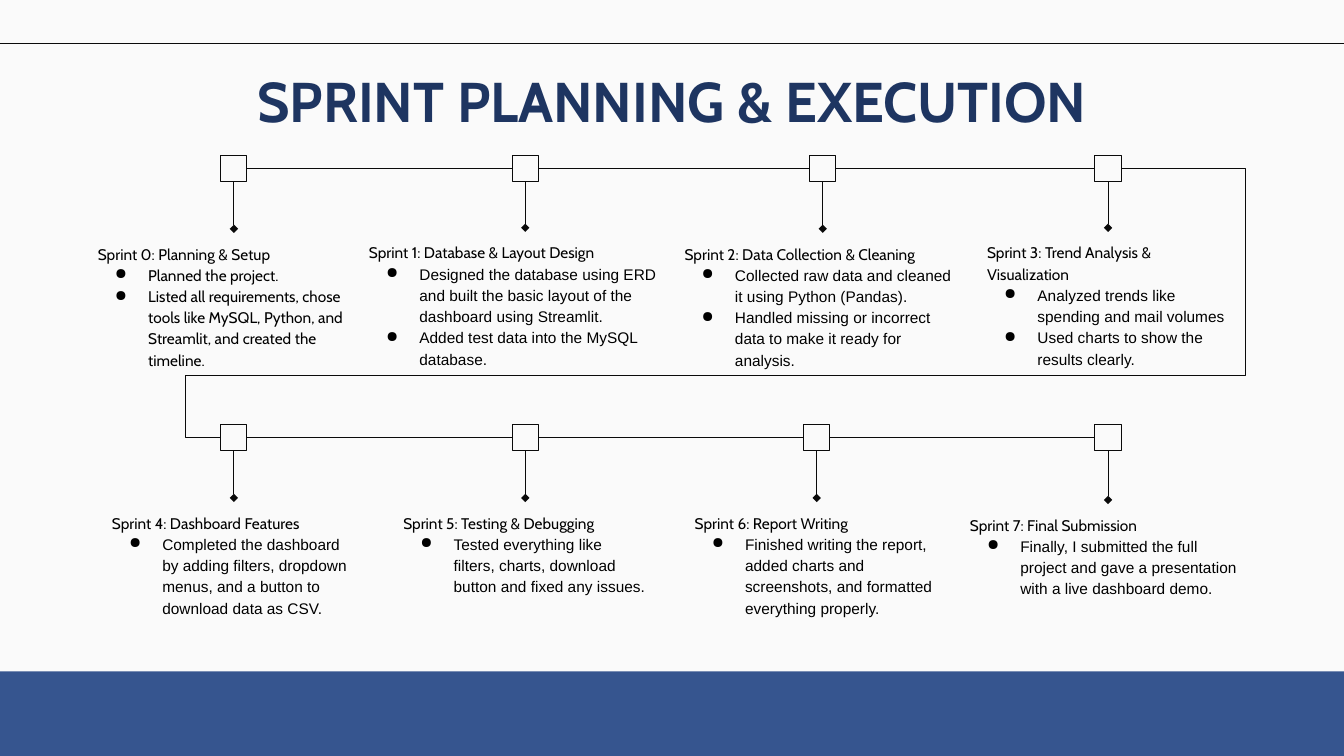
from dataclasses import dataclass
from lxml.etree import SubElement
from pptx import Presentation
from pptx.dml.color import RGBColor
from pptx.enum.shapes import MSO_CONNECTOR, MSO_SHAPE
from pptx.enum.text import MSO_ANCHOR, MSO_AUTO_SIZE, PP_ALIGN
from pptx.oxml.ns import qn
from pptx.util import Inches, Pt


@dataclass(frozen=True)
class Theme:
    paper: RGBColor = RGBColor(0xFA, 0xFA, 0xFA)
    band: RGBColor = RGBColor(0x36, 0x55, 0x8F)
    title: RGBColor = RGBColor(0x1E, 0x35, 0x61)
    line: RGBColor = RGBColor(0x0A, 0x0A, 0x0A)
    text: RGBColor = RGBColor(0, 0, 0)
    heading_font: str = "Cabin"
    body_font: str = "Arial"
    title_size: Pt = Pt(40)
    text_size: Pt = Pt(11)
    line_width: Pt = Pt(0.75)


theme = Theme()
PITCH = 2.89
FIRST_X = 2.32
HALF = 0.13
INSET = Inches(0.13)
ROW_Y = (1.67, 4.34)


def add_line(x1, y1, x2, y2, kind=MSO_CONNECTOR.STRAIGHT):
    c = s.shapes.add_connector(kind, Inches(x1), Inches(y1), Inches(x2), Inches(y2))
    c.line.color.rgb = theme.line
    c.line.width = theme.line_width
    SubElement(c._element.spPr, qn("a:effectLst"))
    return c


def add_run(p, text, font, size, color):
    r = p.add_run()
    r.text = text
    r.font.name = font
    r.font.size = size
    r.font.color.rgb = color
    return r


prs = Presentation()
prs.slide_width, prs.slide_height = Inches(13.33), Inches(7.5)
s = prs.slides.add_slide(prs.slide_layouts[5])
s.background.fill.solid()
s.background.fill.fore_color.rgb = theme.paper

band = s.shapes.add_shape(MSO_SHAPE.RECTANGLE, 0, Inches(6.66), prs.slide_width, Inches(0.84))
band.shadow.inherit = False
band.fill.solid()
band.fill.fore_color.rgb = theme.band
band.line.fill.background()
add_line(0, 0.43, 13.33, 0.43)

title = s.shapes.title
title.left, title.top, title.width, title.height = map(Inches, (1.05, 0.53, 11.23, 0.8))
tf = title.text_frame
tf.margin_left = tf.margin_right = tf.margin_top = tf.margin_bottom = INSET
tf.vertical_anchor = MSO_ANCHOR.TOP
tf.auto_size = MSO_AUTO_SIZE.NONE
tf.word_wrap = True
p = tf.paragraphs[0]
p.alignment = PP_ALIGN.CENTER
r = add_run(p, "SPRINT PLANNING & EXECUTION", theme.heading_font, theme.title_size, theme.title)
r.font.bold = True

sprints = [
    ("Planning & Setup", 0.84, 2.27, 2.95, 1.47, [
        "Planned the project.",
        "Listed all requirements, chose tools like MySQL, Python, and Streamlit, and created the timeline."]),
    ("Database & Layout Design", 3.53, 2.26, 3.33, 1.47, [
        "Designed the database using ERD and built the basic layout of the dashboard using Streamlit.",
        "Added test data into the MySQL database."]),
    ("Data Collection & Cleaning", 6.66, 2.27, 3, 1.34, [
        "Collected raw data and cleaned it using Python (Pandas).",
        "Handled missing or incorrect data to make it ready for analysis."]),
    ("Trend Analysis & Visualization", 9.66, 2.26, 2.67, 1.47, [
        "Analyzed trends like spending and mail volumes",
        "Used charts to show the results clearly."]),
    ("Dashboard Features", 0.98, 4.94, 2.67, 1.26, [
        "Completed the dashboard by adding filters, dropdown menus, and a button to download data as CSV."]),
    ("Testing & Debugging", 3.87, 4.94, 2.67, 1.07, [
        "Tested everything like filters, charts, download button and fixed any issues."]),
    ("Report Writing", 6.76, 4.94, 2.67, 1.47, [
        "Finished writing the report, added charts and screenshots, and formatted everything properly."]),
    ("Final Submission", 9.49, 4.96, 3, 1.07, [
        "Finally, I submitted the full project and gave a presentation with a live dashboard demo."]),
]

previous_x = None
for i, (name, left, top, width, height, bullets) in enumerate(sprints):
    row, col = divmod(i, 4)
    y = ROW_Y[row]
    x = 8.16 if i == 2 else FIRST_X + col * PITCH

    sp = s.shapes.add_shape(MSO_SHAPE.RECTANGLE, Inches(x - HALF), Inches(y - HALF),
                            Inches(2 * HALF), Inches(2 * HALF))
    sp.shadow.inherit = False
    sp.fill.background()
    sp.line.color.rgb = theme.line
    sp.line.width = theme.line_width

    if col:
        add_line(previous_x + HALF, y, x - HALF, y)
    previous_x = x
    stem = add_line(x, y + HALF, x, top)
    SubElement(stem.line._get_or_add_ln(), qn("a:tailEnd"), type="diamond")

    tf = s.shapes.add_textbox(*map(Inches, (left, top, width, height))).text_frame
    tf.word_wrap = True
    tf.margin_left = tf.margin_right = tf.margin_top = tf.margin_bottom = INSET
    p = tf.paragraphs[0]
    p.line_spacing = 1.15
    add_run(p, f"Sprint {i}: {name}", theme.heading_font, theme.text_size, theme.text)
    for bullet in bullets:
        p = tf.add_paragraph()
        p.line_spacing = 1.15
        pPr = p._p.get_or_add_pPr()
        pPr.set("marL", str(Inches(0.5)))
        pPr.set("indent", str(Inches(-0.33)))
        SubElement(SubElement(pPr, qn("a:buClr")), qn("a:srgbClr"), val=str(theme.text))
        SubElement(pPr, qn("a:buChar"), char="●")
        font = theme.body_font if i else theme.heading_font
        add_run(p, bullet, font, theme.text_size, theme.text)

link = add_line(FIRST_X + 3 * PITCH + HALF, ROW_Y[0], FIRST_X - HALF, ROW_Y[1], MSO_CONNECTOR.ELBOW)
geom = link._element.spPr.find(qn("a:prstGeom"))
geom.set("prst", "bentConnector5")
guides = geom.find(qn("a:avLst"))
for n, value in enumerate((-13800, 76900, 103900), 1):
    SubElement(guides, qn("a:gd"), name=f"adj{n}", fmla=f"val {value}")

prs.save("out.pptx")
